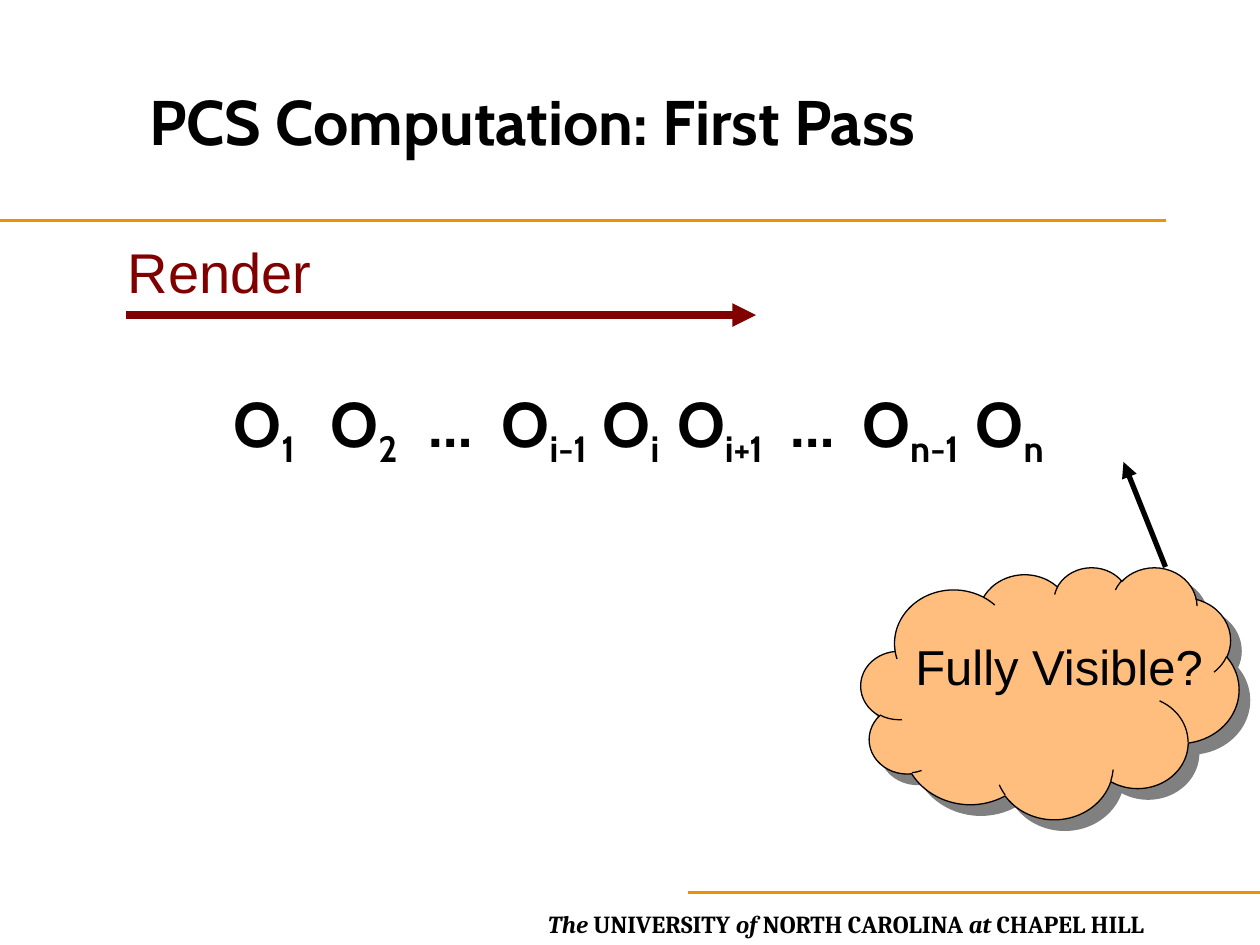
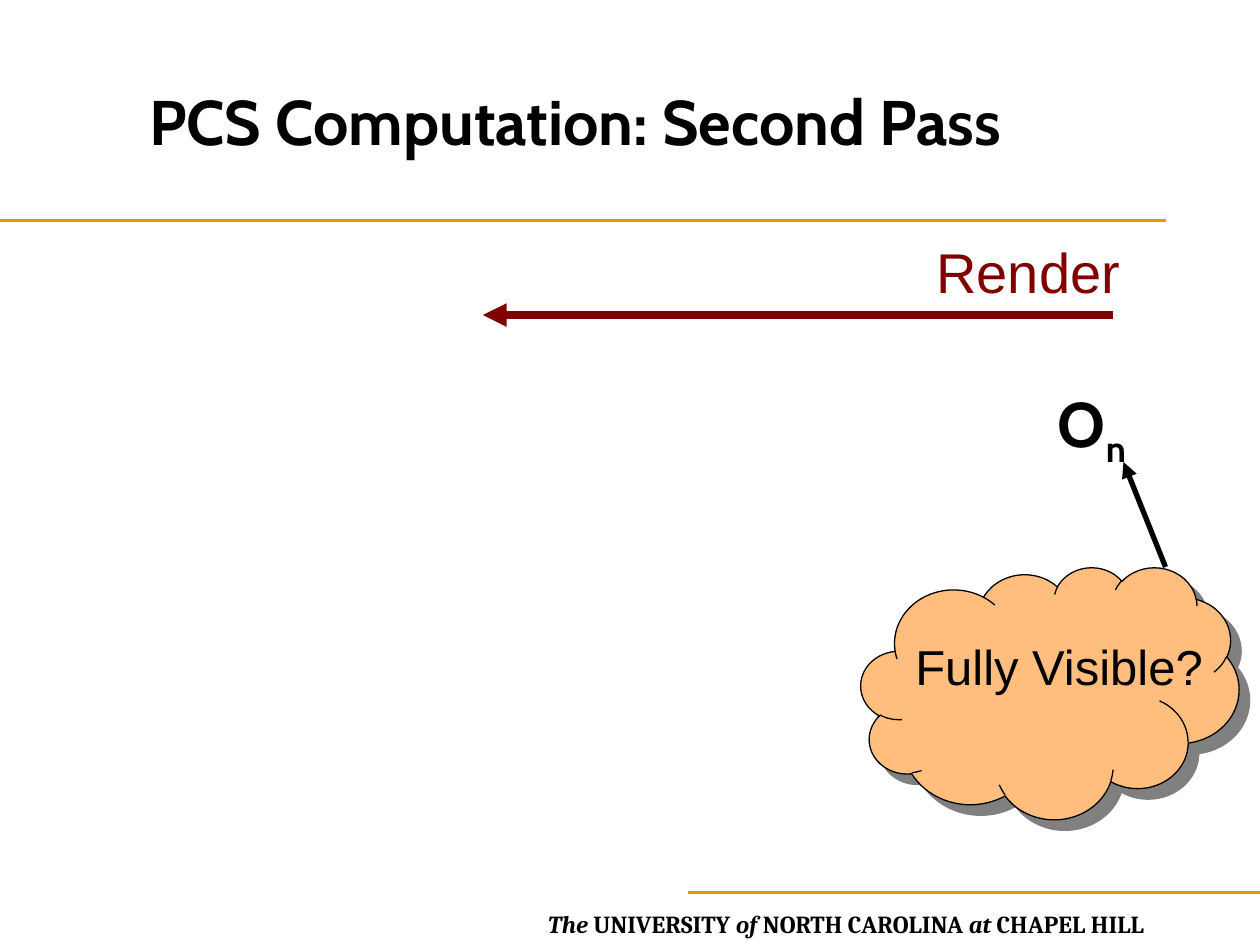
from dataclasses import dataclass

from lxml import etree
from pptx import Presentation, util as u
from pptx.dml.color import RGBColor
from pptx.enum import shapes, text
from pptx.oxml.ns import qn

WIDTH, HEIGHT = 10, 7.5
COLUMN, ROW = WIDTH / 120, HEIGHT / 90  # the grid: 120 columns by 90 rows


@dataclass(frozen=True)
class Theme:
    ink: str = "000000"
    rule: str = "EF9100"
    render: str = "800000"
    cloud: str = "FFBE7D"
    shadow: str = "808080"
    heading_font: str = "Cabin"
    label_font: str = "Arial"
    footer_font: str = "Cambria"
    heading_size: int = 36
    render_size: int = 32
    cloud_size: int = 28
    footer_size: int = 14


THEME = Theme()
FOOTER = ["The", " UNIVERSITY ", "of ", "NORTH CAROLINA ", "at ", "CHAPEL HILL"]
# Each object: its symbol, its subscript and its offset in inches from the first
OBJECTS = [
    ("O", "1", 0), ("O", "2", 0.77), ("…", "", 1.55), ("O", "i-1", 2.13),
    ("O", "i", 2.93), ("O", "i+1", 3.52), ("…", "", 4.42), ("O", "n-1", 4.99),
    ("O", "n", 5.89),
]


def grid(left, top, width, height):
    """Turn columns and rows into lengths."""
    return [u.Inches(value * step) for value, step in
            zip((left, top, width, height), (COLUMN, ROW, COLUMN, ROW))]


def set_font(font, name, size, color, bold=False):
    font.name, font.size, font.bold = name, u.Pt(size), bold
    font.color.rgb = RGBColor.from_string(color)


def add_label(slide, box, words, name, size, color):
    label = slide.shapes.add_textbox(*grid(*box))
    label.text_frame.word_wrap = True
    paragraph = label.text_frame.paragraphs[0]
    paragraph.text = words
    set_font(paragraph.font, name, size, color)
    return label


def add_line(slide, start, end, color, weight, arrow=False):
    """Draw a line between two grid points, with an optional arrowhead at its end."""
    points = [u.Inches(value * step) for value, step in
              zip((*start, *end), (COLUMN, ROW) * 2)]
    line = slide.shapes.add_connector(shapes.MSO_CONNECTOR.STRAIGHT, *points)
    line.line.color.rgb = RGBColor.from_string(color)
    line.line.width = u.Pt(weight)
    if arrow:
        etree.SubElement(line.line._get_or_add_ln(), qn("a:tailEnd"), type="triangle")
    etree.SubElement(line.element.spPr, qn("a:effectLst"))
    return line


def add_frame(slide, layout):
    """Build the rules and footer, then move them to the layout that all slides share."""
    footer = slide.shapes.add_textbox(*grid(51, 86, 69, 4))
    footer.text_frame.word_wrap = True
    paragraph = footer.text_frame.paragraphs[0]
    set_font(paragraph.font, THEME.footer_font, THEME.footer_size, THEME.ink, bold=True)
    for index, words in enumerate(FOOTER):
        run = paragraph.add_run()
        run.text = words
        run.font.italic = index % 2 == 0
    rules = [add_line(slide, start, end, THEME.rule, 2) for start, end in
             (((0, 21), (111, 21)), ((65.5, 85), (120, 85)))]
    for shape in (footer, *rules):
        layout.element.cSld.spTree.append(shape.element)


def set_title(slide, words):
    title = slide.shapes.title
    title.left, title.top, title.width, title.height = grid(13, 6, 97, 11)
    frame = title.text_frame
    frame.auto_size = text.MSO_AUTO_SIZE.NONE
    frame.vertical_anchor = text.MSO_ANCHOR.MIDDLE
    paragraph = frame.paragraphs[0]
    paragraph.text = words
    paragraph.alignment = text.PP_ALIGN.LEFT
    set_font(paragraph.font, THEME.heading_font, THEME.heading_size, THEME.ink, bold=True)


def add_objects(slide, box, inset, objects):
    """Write the objects on one line, each at its own tab stop."""
    row = slide.shapes.add_textbox(*grid(*box))
    row.text_frame.word_wrap = True
    row.text_frame.margin_left = u.Inches(inset)
    paragraph = row.text_frame.paragraphs[0]
    stops = etree.SubElement(paragraph._p.get_or_add_pPr(), qn("a:tabLst"))
    for _, _, offset in objects[1:]:
        etree.SubElement(stops, qn("a:tab"), pos=str(u.Inches(offset)), algn="l")
    set_font(paragraph.font, THEME.heading_font, THEME.heading_size, THEME.ink, bold=True)
    for index, (symbol, subscript, _) in enumerate(objects):
        paragraph.add_run().text = "\t" + symbol if index else symbol
        if subscript:
            run = paragraph.add_run()
            run.text = subscript
            run.font._element.set("baseline", "-25000")


def add_render(slide, start, end, label_box):
    add_line(slide, (start, 30), (end, 30), THEME.render, 4.5, arrow=True)
    add_label(slide, label_box, "Render", THEME.label_font, THEME.render_size, THEME.render)


def add_cloud(slide, words):
    cloud = slide.shapes.add_shape(shapes.MSO_SHAPE.CLOUD, *grid(82, 54, 36, 24))
    cloud.fill.solid()
    cloud.fill.fore_color.rgb = RGBColor.from_string(THEME.cloud)
    cloud.line.color.rgb = RGBColor.from_string(THEME.ink)
    cloud.line.width = u.Pt(0.75)
    cloud.shadow.inherit = False
    effects = cloud.element.spPr.find(qn("a:effectLst"))
    shadow = etree.SubElement(effects, qn("a:outerShdw"), dist=str(u.Pt(8.5)),
                              dir=str(45 * 60000), algn="ctr", rotWithShape="0")
    etree.SubElement(shadow, qn("a:srgbClr"), val=THEME.shadow)
    add_line(slide, (111, 54), (107, 44), THEME.ink, 3, arrow=True)
    add_label(slide, (86, 60, 31, 7), words, THEME.label_font, THEME.cloud_size, THEME.ink)


def main():
    presentation = Presentation()
    presentation.slide_width, presentation.slide_height = u.Inches(WIDTH), u.Inches(HEIGHT)
    layout = presentation.slide_layouts[5]
    first, second = [presentation.slides.add_slide(layout) for _ in range(2)]
    add_frame(first, layout)

    set_title(first, "PCS Computation: First Pass")
    add_objects(first, (7, 36, 108, 15), 1.27, OBJECTS)
    add_render(first, 12, 72, (11, 22, 37, 7.7))

    set_title(second, "PCS Computation: Second Pass")
    add_render(second, 106, 46, (88, 22, 27, 7.7))
    add_objects(second, (92, 36, 23, 15), 0.73, OBJECTS[-1:])

    for slide in (first, second):
        add_cloud(slide, "Fully Visible?")

    presentation.save("out.pptx")


if __name__ == "__main__":
    main()
